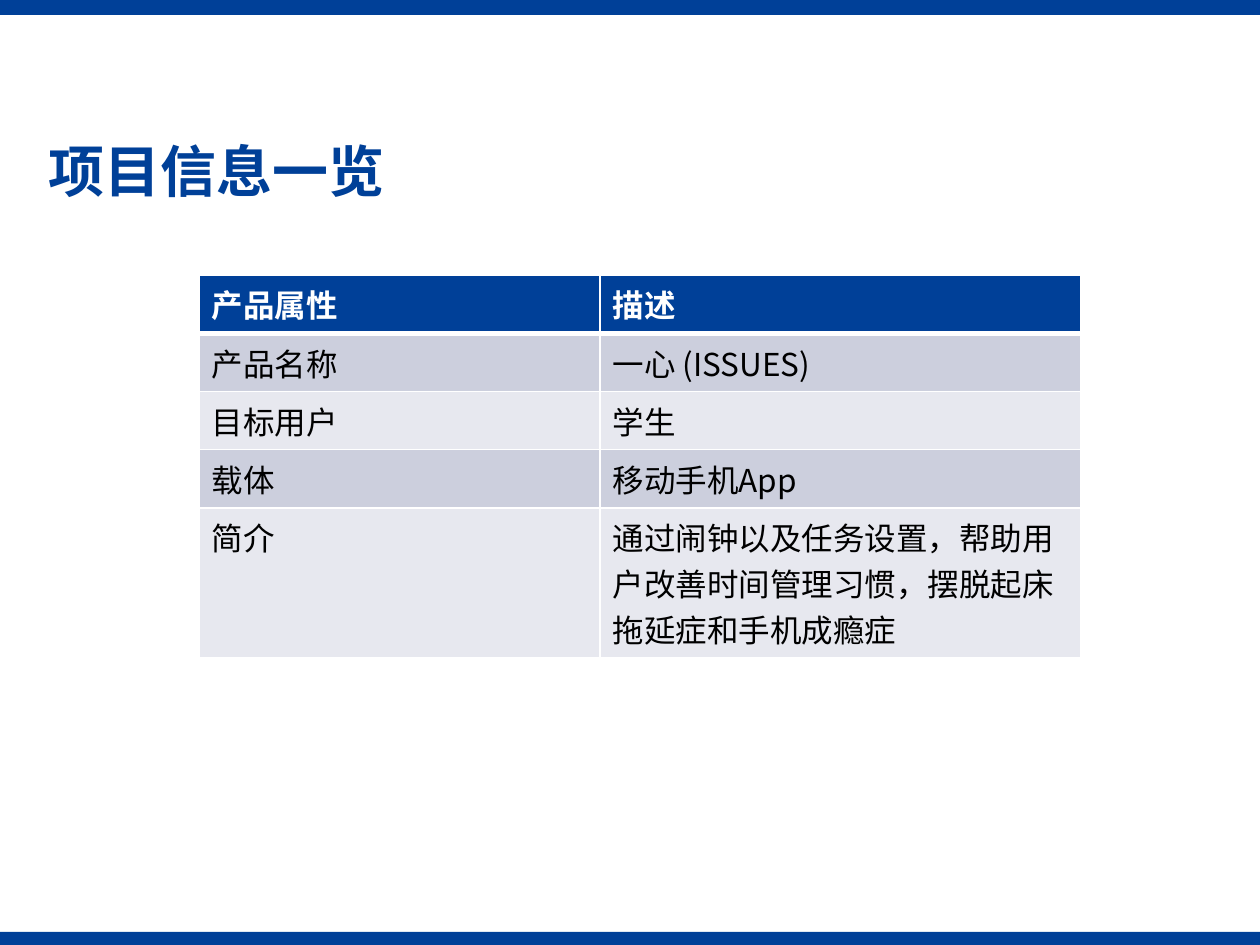
from dataclasses import dataclass

from lxml.etree import SubElement
from pptx import Presentation
from pptx.dml.color import RGBColor
from pptx.enum.shapes import MSO_SHAPE
from pptx.enum.text import MSO_ANCHOR, PP_ALIGN
from pptx.oxml import parse_xml
from pptx.oxml.ns import nsdecls, qn
from pptx.slide import Slide
from pptx.table import _Cell
from pptx.text.text import _Paragraph
from pptx.util import Emu, Pt


@dataclass(frozen=True)
class Theme:
    """Colours, font and type sizes of the slide."""
    blue: str = "004098"
    white: str = "FFFFFF"
    black: str = "000000"
    bands: tuple[str, str] = ("CCCFDD", "E7E8EF")
    font: str = "Noto Sans CJK SC"
    head: int = 32
    body: int = 18
    thin: int = 1
    thick: int = 3


@dataclass(frozen=True)
class Box:
    """A place on the slide in px."""
    left: int
    top: int
    width: int
    height: int

    def emu(self) -> tuple[Emu, ...]:
        """Give the four lengths in EMU."""
        return tuple(map(px, (self.left, self.top, self.width, self.height)))


@dataclass(frozen=True)
class Row:
    """One table row: a label, its value and a height in px."""
    label: str
    value: str
    height: int = 53


THEME = Theme()
SCALE = 914400 / 126
WIDE, HIGH = 1260, 945
BARS = [Box(0, 932, WIDE, 13), Box(0, 0, WIDE, 15)]
TITLE = Box(36, 135, 1180, 79)
GRID = Box(199, 275, 882, 338)
COLS = [401, 481]
ROWS = [
    Row("产品属性", "描述"),
    Row("产品名称", "一心 (ISSUES)"),
    Row("目标用户", "学生"),
    Row("载体", "移动手机App"),
    Row("简介", "通过闹钟以及任务设置，帮助用户改善时间管理习惯，摆脱起床拖延症和手机成瘾症", 126),
]


def px(count: float) -> Emu:
    """Turn px into EMU."""
    return Emu(round(count * SCALE))


def add_run(para: _Paragraph, text: str, size: int, color: str, bold: bool) -> None:
    """Add one formatted run to a paragraph."""
    run = para.add_run()
    run.text = text
    font = run.font
    font.size, font.bold, font.name = Pt(size), bold, THEME.font
    font.color.rgb = RGBColor.from_string(color)
    SubElement(font._element, qn("a:ea"), typeface=THEME.font)


def add_bar(slide: Slide, box: Box) -> None:
    """Draw a plain blue bar."""
    bar = slide.shapes.add_shape(MSO_SHAPE.RECTANGLE, *box.emu())
    bar.shadow.inherit = False
    bar.fill.solid()
    bar.fill.fore_color.rgb = RGBColor.from_string(THEME.blue)
    bar.line.fill.background()


def set_title(slide: Slide, text: str) -> None:
    """Place and fill the title."""
    title = slide.shapes.title
    title.left, title.top, title.width, title.height = TITLE.emu()
    frame = title.text_frame
    frame.vertical_anchor = MSO_ANCHOR.MIDDLE
    para = frame.paragraphs[0]
    para.alignment, para.line_spacing = PP_ALIGN.LEFT, 0.9
    add_run(para, text, THEME.head, THEME.blue, True)


def set_edges(cell: _Cell, top: int, base: int) -> None:
    """Give a cell white borders ahead of its fill."""
    props = cell._tc.get_or_add_tcPr()
    sides = {"L": THEME.thin, "R": THEME.thin, "T": top, "B": base}
    for spot, (side, width) in enumerate(sides.items()):
        props.insert(spot, parse_xml(
            f'<a:ln{side} {nsdecls("a")} w="{Pt(width)}"><a:solidFill>'
            f'<a:srgbClr val="{THEME.white}"/></a:solidFill></a:ln{side}>'))


def add_grid(slide: Slide, rows: list[Row]) -> None:
    """Draw the table with a blue head and banded rows."""
    table = slide.shapes.add_table(len(rows), len(COLS), *GRID.emu()).table
    for col, width in zip(table.columns, COLS):
        col.width = px(width)
    for i, row in enumerate(rows):
        table.rows[i].height = px(row.height)
        head = i == 0
        fill = THEME.blue if head else THEME.bands[(i - 1) % 2]
        ink = THEME.white if head else THEME.black
        for j, text in enumerate((row.label, row.value)):
            cell = table.cell(i, j)
            cell.fill.solid()
            cell.fill.fore_color.rgb = RGBColor.from_string(fill)
            set_edges(cell, THEME.thick if i == 1 else THEME.thin,
                      THEME.thick if head else THEME.thin)
            add_run(cell.text_frame.paragraphs[0], text, THEME.body, ink, head)


def main() -> None:
    """Build and save the slide."""
    deck = Presentation()
    deck.slide_width, deck.slide_height = px(WIDE), px(HIGH)
    slide = deck.slides.add_slide(deck.slide_layouts[5])
    for box in BARS:
        add_bar(slide, box)
    set_title(slide, "项目信息一览")
    add_grid(slide, ROWS)
    deck.save("out.pptx")


if __name__ == "__main__":
    main()
